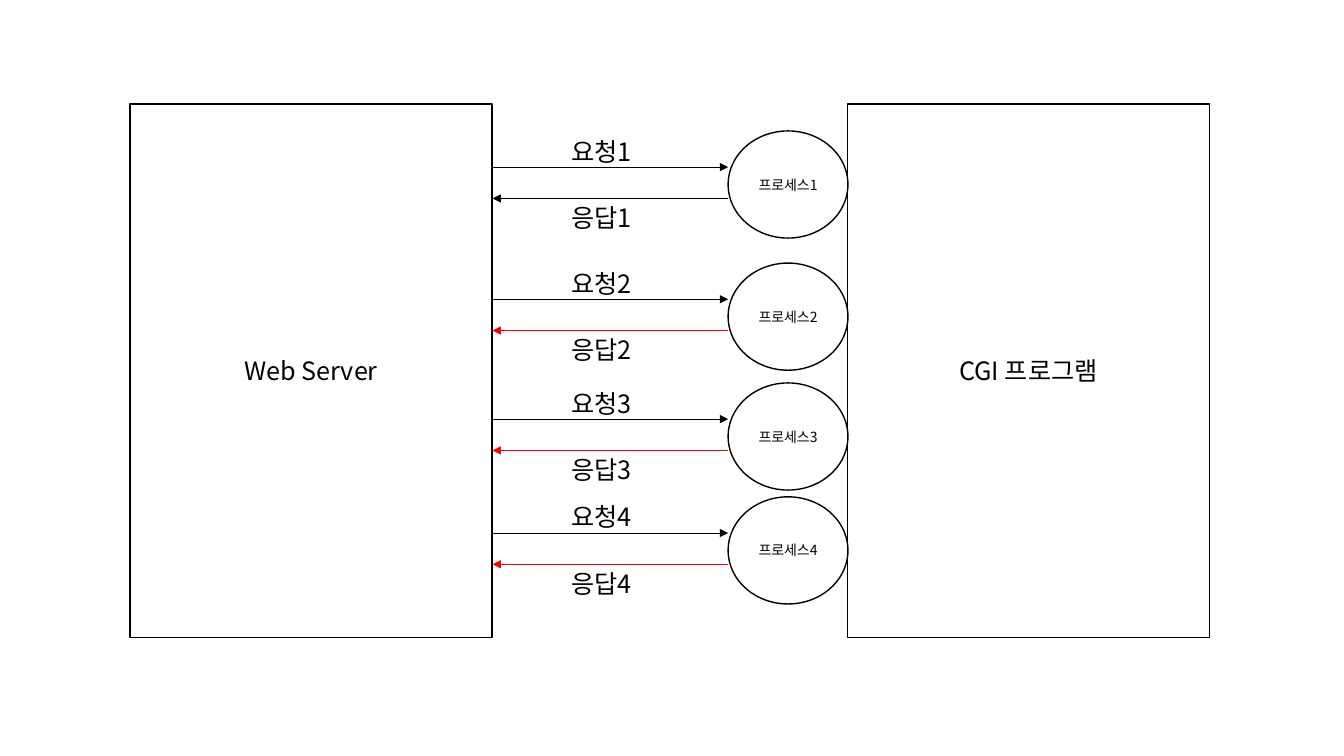
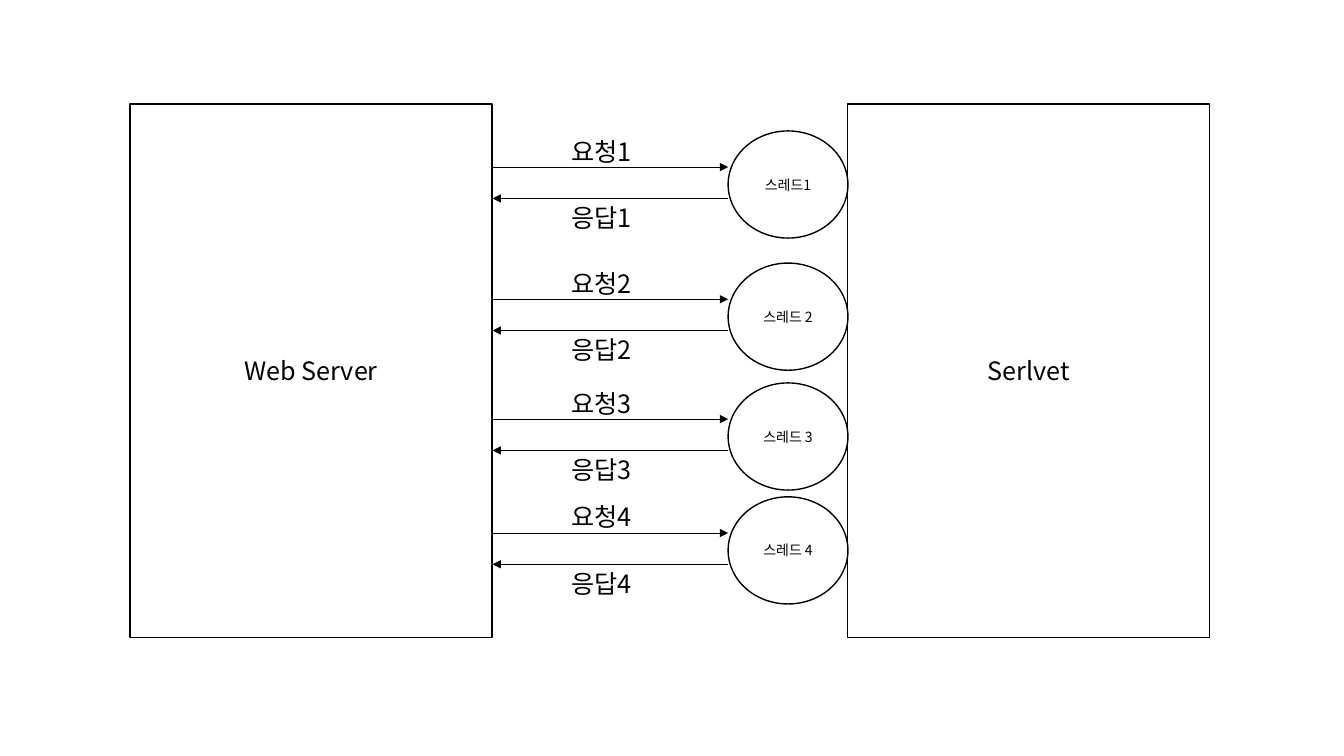
from dataclasses import dataclass

from pptx import Presentation
from pptx.dml.color import RGBColor
from pptx.enum.shapes import MSO_CONNECTOR, MSO_SHAPE
from pptx.enum.text import MSO_ANCHOR, MSO_AUTO_SIZE, PP_ALIGN
from pptx.oxml.ns import qn
from pptx.oxml.xmlchemy import OxmlElement
from pptx.util import Cm, Pt


@dataclass(frozen=True)
class Theme:
    font: str = "Noto Sans CJK KR"
    ink: RGBColor = RGBColor(0, 0, 0)
    alert: RGBColor = RGBColor(255, 0, 0)
    paper: RGBColor = RGBColor(255, 255, 255)
    label_size: Pt = Pt(18)
    worker_size: Pt = Pt(10)
    outline: Pt = Pt(1)
    arrow: Pt = Pt(0.5)


class Diagram:
    """Holds the theme and the slide being drawn."""

    def __init__(self, deck, theme):
        self.deck, self.theme = deck, theme
        self.slide = None

    def new_slide(self):
        self.slide = self.deck.slides.add_slide(self.deck.slide_layouts[6])
        background = self.slide.background.fill
        background.solid()
        background.fore_color.rgb = self.theme.paper

    def caption(self, frame, text, size, align):
        paragraph = frame.paragraphs[0]
        paragraph.alignment = align
        run = paragraph.add_run()
        run.text = text
        for name, value in {"name": self.theme.font, "size": size}.items():
            setattr(run.font, name, value)
        run.font.color.rgb = self.theme.ink
        # Hangul takes its typeface from the East Asian font slot
        east_asian = OxmlElement("a:ea")
        east_asian.set("typeface", self.theme.font)
        run.font._element.append(east_asian)

    def outlined(self, kind, left, top, width, height, text, size):
        shape = self.slide.shapes.add_shape(
            kind, Cm(left), Cm(top), Cm(width), Cm(height))
        shape.shadow.inherit = False
        shape.fill.background()
        shape.line.color.rgb = self.theme.ink
        shape.line.width = self.theme.outline
        shape.text_frame.vertical_anchor = MSO_ANCHOR.MIDDLE
        self.caption(shape.text_frame, text, size, PP_ALIGN.CENTER)

    def label(self, left, top, width, height, text):
        frame = self.slide.shapes.add_textbox(
            Cm(left), Cm(top), Cm(width), Cm(height)).text_frame
        settings = {"word_wrap": True,
                    "auto_size": MSO_AUTO_SIZE.SHAPE_TO_FIT_TEXT}
        for name, value in settings.items():
            setattr(frame, name, value)
        self.caption(frame, text, self.theme.label_size, PP_ALIGN.LEFT)

    def arrow(self, start, end, y, color):
        connector = self.slide.shapes.add_connector(
            MSO_CONNECTOR.STRAIGHT, Cm(start), Cm(y), Cm(end), Cm(y))
        connector.line.color.rgb = color
        connector.line.width = self.theme.arrow
        properties = connector.element.spPr
        head = OxmlElement("a:tailEnd")
        head.set("type", "triangle")
        properties.find(qn("a:ln")).append(head)
        properties.append(OxmlElement("a:effectLst"))


# Layout in centimetres
PANEL_TOP, PANEL_WIDTH, PANEL_HEIGHT = 2.62, 9.12, 13.44
SERVER_LEFT, PROGRAM_LEFT = 3.28, 21.36
SERVER_EDGE, WORKER_LEFT = 12.41, 18.35
WORKER_WIDTH, WORKER_HEIGHT = 3.02, 2.7
LABEL_LEFT, LABEL_WIDTH, LABEL_HEIGHT = 14.15, 2.46, 1.02
LANE_TOPS = (3.3, 6.63, 9.65, 12.52)
REQUEST_DROP, RESPONSE_DROP, RESPONSE_LABEL_DROP = 0.91, 1.7, 1.68


def draw_exchange(diagram, program, workers, later_response_color):
    theme = diagram.theme
    diagram.new_slide()

    # Server and program panels
    for left, name in ((SERVER_LEFT, "Web Server"), (PROGRAM_LEFT, program)):
        diagram.outlined(MSO_SHAPE.RECTANGLE, left, PANEL_TOP, PANEL_WIDTH,
                         PANEL_HEIGHT, name, theme.label_size)

    # One lane per request, with its worker and response
    for number, (top, worker) in enumerate(zip(LANE_TOPS, workers), 1):
        response_color = theme.ink if number == 1 else later_response_color
        diagram.arrow(SERVER_EDGE, WORKER_LEFT, top + REQUEST_DROP, theme.ink)
        diagram.arrow(WORKER_LEFT, SERVER_EDGE, top + RESPONSE_DROP,
                      response_color)
        for drop, word in ((0, "요청"), (RESPONSE_LABEL_DROP, "응답")):
            diagram.label(LABEL_LEFT, top + drop, LABEL_WIDTH, LABEL_HEIGHT,
                          f"{word}{number}")
        diagram.outlined(MSO_SHAPE.OVAL, WORKER_LEFT, top, WORKER_WIDTH,
                         WORKER_HEIGHT, worker, theme.worker_size)


deck = Presentation()
deck.slide_width, deck.slide_height = Cm(33.87), Cm(19.05)
diagram = Diagram(deck, Theme())

# Slide 1: a process for each request
processes = [f"프로세스{number}" for number in range(1, 5)]
draw_exchange(diagram, "CGI 프로그램", processes, diagram.theme.alert)

# Slide 2: a thread for each request
threads = ["스레드1", "스레드 2", "스레드 3", "스레드 4"]
draw_exchange(diagram, "Serlvet", threads, diagram.theme.ink)

deck.save("out.pptx")
